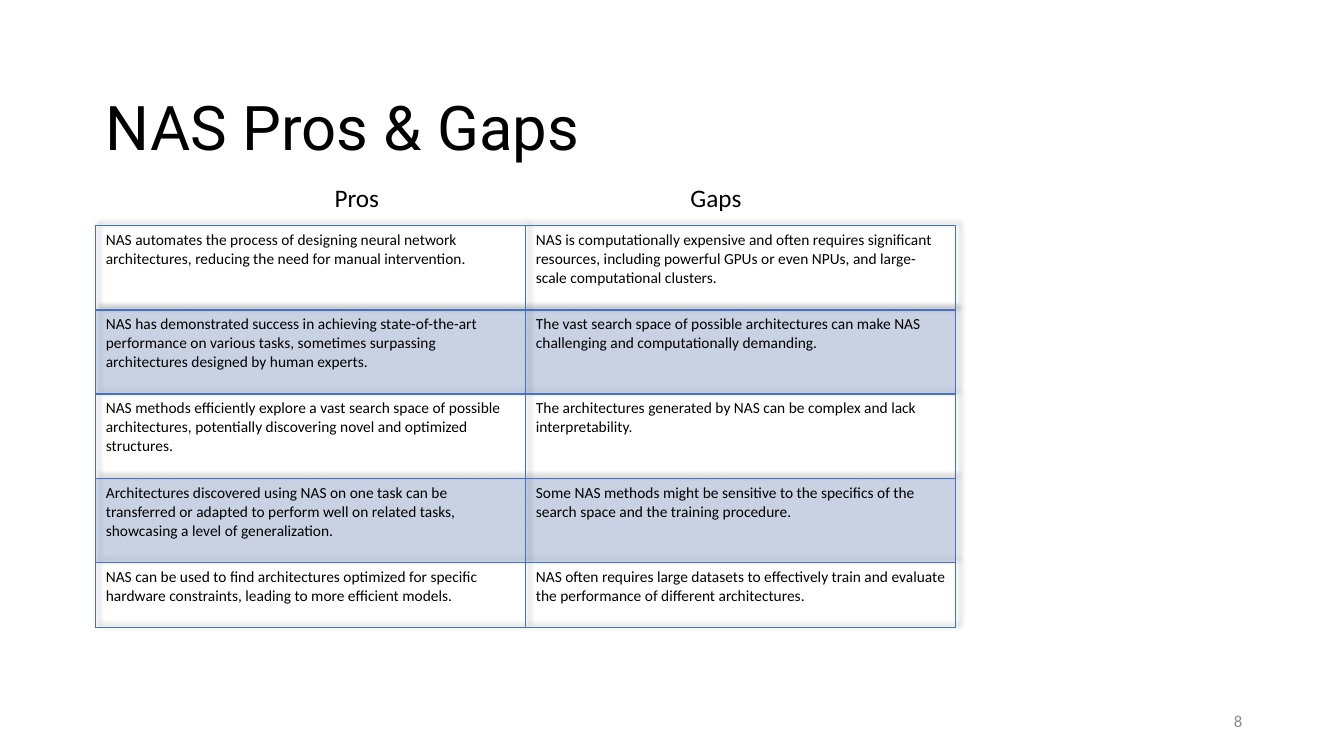
"""Build the slide that sets the pros of NAS beside its gaps."""
from lxml.etree import SubElement
from pptx import Presentation
from pptx.dml.color import RGBColor
from pptx.enum.text import MSO_ANCHOR as Anchor, PP_ALIGN as Align
from pptx.oxml import parse_xml
from pptx.oxml.ns import nsdecls, qn
from pptx.util import Inches, Pt

BLACK = RGBColor(0x00, 0x00, 0x00)
GREY = RGBColor(0x8C, 0x8C, 0x8C)
BLUE = RGBColor(0x44, 0x72, 0xC4)

PROS_AND_GAPS = [
    ("NAS automates the process of designing neural network architectures, "
     "reducing the need for manual intervention.",
     "NAS is computationally expensive and often requires significant resources, "
     "including powerful GPUs or even NPUs, and large-scale computational clusters."),
    ("NAS has demonstrated success in achieving state-of-the-art performance on "
     "various tasks, sometimes surpassing architectures designed by human experts.",
     "The vast search space of possible architectures can make NAS challenging "
     "and computationally demanding."),
    ("NAS methods efficiently explore a vast search space of possible architectures, "
     "potentially discovering novel and optimized structures.",
     "The architectures generated by NAS can be complex and lack interpretability."),
    ("Architectures discovered using NAS on one task can be transferred or adapted to "
     "perform well on related tasks, showcasing a level of generalization.",
     "Some NAS methods might be sensitive to the specifics of the search space "
     "and the training procedure."),
    ("NAS can be used to find architectures optimized for specific hardware "
     "constraints, leading to more efficient models.",
     "NAS often requires large datasets to effectively train and evaluate the "
     "performance of different architectures."),
]
ROW_HEIGHTS = [0.835] * 4 + [0.65]


class SlideBuilder:
    def __init__(self, page, body_font="Calibri", title_font="Roboto"):
        self.page = page
        self.body_font = body_font
        self.title_font = title_font

    def style(self, frame, size, color=BLACK, font=None, align=Align.LEFT):
        for para in frame.paragraphs:
            para.alignment = align
            for span in para.runs:
                span.font.name = font or self.body_font
                span.font.size = Pt(size)
                span.font.color.rgb = color

    def title(self, text, left, top, width, height):
        box = self.page.shapes.title
        box.left, box.top = Inches(left), Inches(top)
        box.width, box.height = Inches(width), Inches(height)
        frame = box.text_frame
        frame.text = text
        frame.vertical_anchor = Anchor.MIDDLE
        frame.paragraphs[0].line_spacing = 0.9
        self.style(frame, 44, font=self.title_font)

    def label(self, text, left, top, width, height, size, anchor=Anchor.TOP, **look):
        box = self.page.shapes.add_textbox(
            Inches(left), Inches(top), Inches(width), Inches(height))
        frame = box.text_frame
        frame.word_wrap = True
        frame.vertical_anchor = anchor
        frame.text = text
        self.style(frame, size, **look)

    def borders(self, cell, bottom):
        properties = cell._tc.get_or_add_tcPr()
        widths = [("lnL", 1), ("lnR", 1), ("lnT", 1), ("lnB", bottom)]
        for position, (side, width) in enumerate(widths):
            properties.insert(position, parse_xml(
                f'<a:{side} {nsdecls("a")} w="{Pt(width)}"><a:solidFill>'
                f'<a:srgbClr val="{BLUE}"/></a:solidFill></a:{side}>'))

    def tint(self, cell):
        cell.fill.solid()
        cell.fill.fore_color.rgb = BLUE
        color = cell._tc.tcPr.find(f'{qn("a:solidFill")}/{qn("a:srgbClr")}')
        SubElement(color, qn("a:alpha"), val="20000")

    def table(self, rows, heights, left, top, width):
        table = self.page.shapes.add_table(
            len(rows), len(rows[0]), Inches(left), Inches(top),
            Inches(width), Inches(sum(heights))).table
        table.first_row = table.horz_banding = False
        table._tbl.tblPr.insert(0, parse_xml(
            f'<a:effectLst {nsdecls("a")}><a:outerShdw blurRad="50800" dist="38100" '
            'dir="18900000" algn="bl" rotWithShape="0"><a:prstClr val="black">'
            '<a:alpha val="40000"/></a:prstClr></a:outerShdw></a:effectLst>'))
        for row, (texts, height) in enumerate(zip(rows, heights)):
            table.rows[row].height = Inches(height)
            for column, text in enumerate(texts):
                cell = table.cell(row, column)
                cell.text = text
                self.style(cell.text_frame, 11)
                if row % 2:
                    self.tint(cell)
                else:
                    cell.fill.background()
                self.borders(cell, bottom=1 if row else 2)


def main():
    deck = Presentation()
    deck.slide_width, deck.slide_height = Inches(13.33), Inches(7.5)
    builder = SlideBuilder(deck.slides.add_slide(deck.slide_layouts[5]))
    builder.title("NAS Pros & Gaps", 0.95, 0.83, 11.5, 0.93)
    builder.label("8", 9.42, 6.95, 3, 0.4, 12, Anchor.MIDDLE,
                  color=GREY, align=Align.RIGHT)
    builder.label("Pros", 3.22, 1.76, 2.83, 0.4, 18)
    builder.label("Gaps", 6.75, 1.76, 2.67, 0.4, 18)
    builder.table(PROS_AND_GAPS, ROW_HEIGHTS, 0.95, 2.24, 8.53)
    deck.save("out.pptx")


if __name__ == "__main__":
    main()
